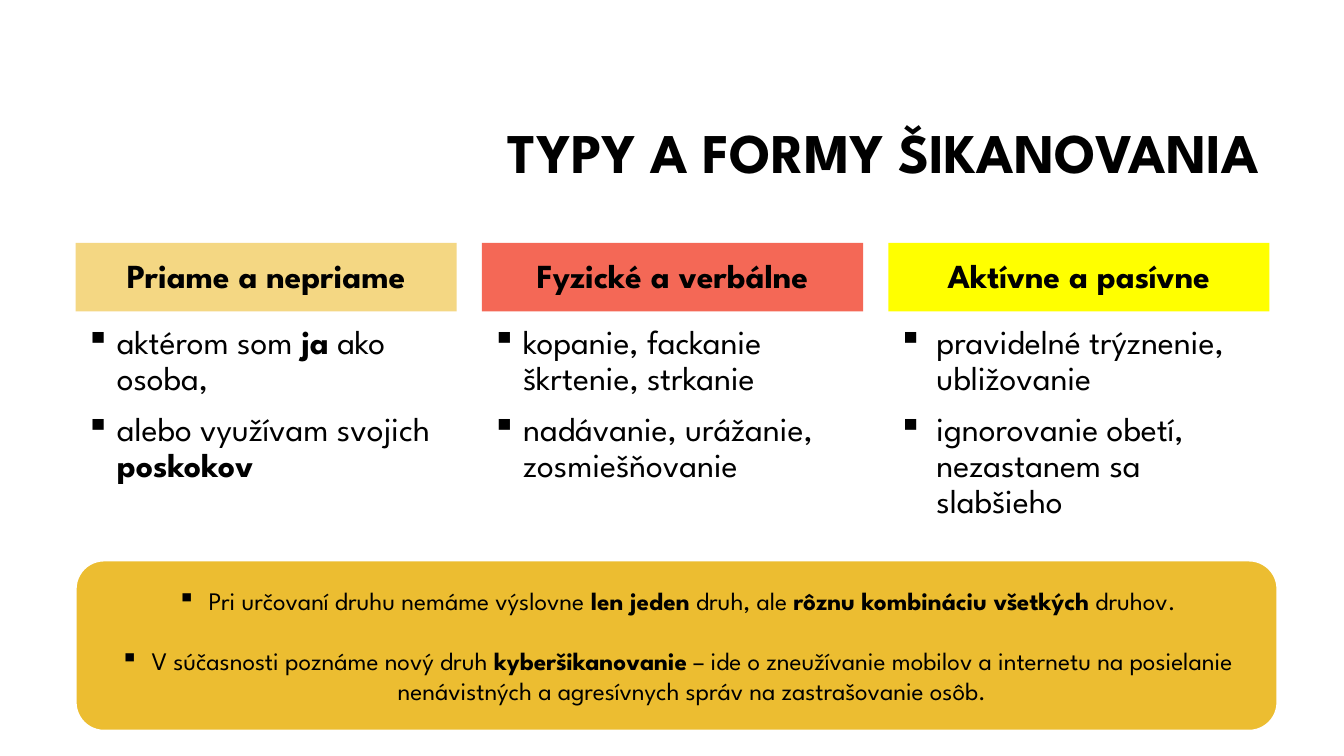
from dataclasses import dataclass

from lxml import etree
from pptx import Presentation
from pptx import util as u
from pptx.dml.color import RGBColor
from pptx.enum import shapes, text
from pptx.oxml.ns import qn

FONT = "League Spartan"
BLACK = RGBColor(0x00, 0x00, 0x00)
WHITE = RGBColor(0xFF, 0xFF, 0xFF)
SAND = RGBColor(0xF4, 0xD7, 0x83)
CORAL = RGBColor(0xF4, 0x68, 0x56)
YELLOW = RGBColor(0xFF, 0xFF, 0x00)
GOLD = RGBColor(0xEC, 0xBD, 0x31)

LEFT, COLUMN_STEP, COLUMN_WIDTH = 0.75, 4.03, 3.78
HEADING_TOP, BODY_TOP = 2.41, 3.18


@dataclass
class Column:
    heading: str
    color: RGBColor
    items: list[str]  # bold words stand between asterisks
    indent: float = 0.31
    body_width: float = COLUMN_WIDTH


@dataclass
class Style:
    size: float
    align: text.PP_ALIGN = text.PP_ALIGN.LEFT
    line_spacing: float = 0.9
    space_before: float = 10
    indent: float = 0  # a bullet is shown when above zero


COLUMNS = [
    Column("Priame a nepriame", SAND,
           ["aktérom som *ja* ako osoba,", "alebo využívam svojich *poskokov*"]),
    Column("Fyzické a verbálne", CORAL,
           ["kopanie, fackanie škrtenie, strkanie",
            "nadávanie, urážanie, zosmiešňovanie"], body_width=3.69),
    Column("Aktívne a pasívne", YELLOW,
           ["pravidelné trýznenie, ubližovanie",
            "ignorovanie obetí, nezastanem sa slabšieho"], indent=0.38),
]
NOTES = [
    "Pri určovaní druhu nemáme výslovne *len jeden* druh, ale "
    "*rôznu kombináciu všetkých* druhov.",
    "V súčasnosti poznáme nový druh *kyberšikanovanie* – ide o zneužívanie "
    "mobilov a internetu na posielanie nenávistných a agresívnych správ "
    "na zastrašovanie osôb.",
]


def add_bullet(paragraph, indent: float) -> None:
    properties = paragraph._p.get_or_add_pPr()
    properties.set("marL", str(u.Inches(indent)))
    properties.set("indent", str(-u.Inches(indent)))
    etree.SubElement(properties, qn("a:buChar")).set("char", "▪")


def write(shape, lines: list[str], style: Style, anchor=text.MSO_ANCHOR.MIDDLE) -> None:
    frame = shape.text_frame
    frame.word_wrap = True
    frame.vertical_anchor = anchor
    for index, line in enumerate(lines):
        paragraph = frame.add_paragraph() if index else frame.paragraphs[0]
        if style.indent:
            add_bullet(paragraph, style.indent)
        paragraph.alignment = style.align
        paragraph.line_spacing = style.line_spacing
        if index:
            paragraph.space_before = u.Pt(style.space_before)
        for position, words in enumerate(line.split("*")):
            if words:
                run = paragraph.add_run()
                run.text = words
                run.font.name = FONT
                run.font.size = u.Pt(style.size)
                run.font.bold = position % 2 == 1
                run.font.color.rgb = BLACK


def add_box(slide, kind, left: float, top: float, width: float, height: float,
            color: RGBColor):
    shape = slide.shapes.add_shape(
        kind, u.Inches(left), u.Inches(top), u.Inches(width), u.Inches(height))
    shape.shadow.inherit = False
    shape.fill.solid()
    shape.fill.fore_color.rgb = color
    shape.line.fill.background()
    return shape


def add_text_box(slide, left: float, top: float, width: float, height: float):
    return slide.shapes.add_textbox(
        u.Inches(left), u.Inches(top), u.Inches(width), u.Inches(height))


def add_column(slide, column: Column, left: float) -> None:
    heading = add_box(slide, shapes.MSO_SHAPE.RECTANGLE, left, HEADING_TOP,
                      COLUMN_WIDTH, 0.68, column.color)
    write(heading, [f"*{column.heading}*"], Style(24, text.PP_ALIGN.CENTER))
    body = add_text_box(slide, left, BODY_TOP, column.body_width, 2.35)
    write(body, column.items, Style(24, indent=column.indent), text.MSO_ANCHOR.TOP)


def main() -> None:
    presentation = Presentation()
    presentation.slide_width = u.Inches(13.33)
    presentation.slide_height = u.Inches(7.5)
    slide = presentation.slides.add_slide(presentation.slide_layouts[6])

    # Title
    title = add_text_box(slide, 3.17, 0.83, 9.42, 1.43)
    write(title, ["*TYPY A FORMY ŠIKANOVANIA*"], Style(40, text.PP_ALIGN.RIGHT))

    # Three pairs of types
    for index, column in enumerate(COLUMNS):
        add_column(slide, column, LEFT + index * COLUMN_STEP)

    # Closing notes
    panel = add_box(slide, shapes.MSO_SHAPE.ROUNDED_RECTANGLE,
                    LEFT, 5.56, 11.92, 1.69, GOLD)
    panel.line.color.rgb = WHITE
    panel.line.width = u.Pt(1.5)
    write(panel, NOTES, Style(18, text.PP_ALIGN.CENTER, line_spacing=1.0,
                              space_before=21.5, indent=0.31))

    presentation.save("out.pptx")


if __name__ == "__main__":
    main()
